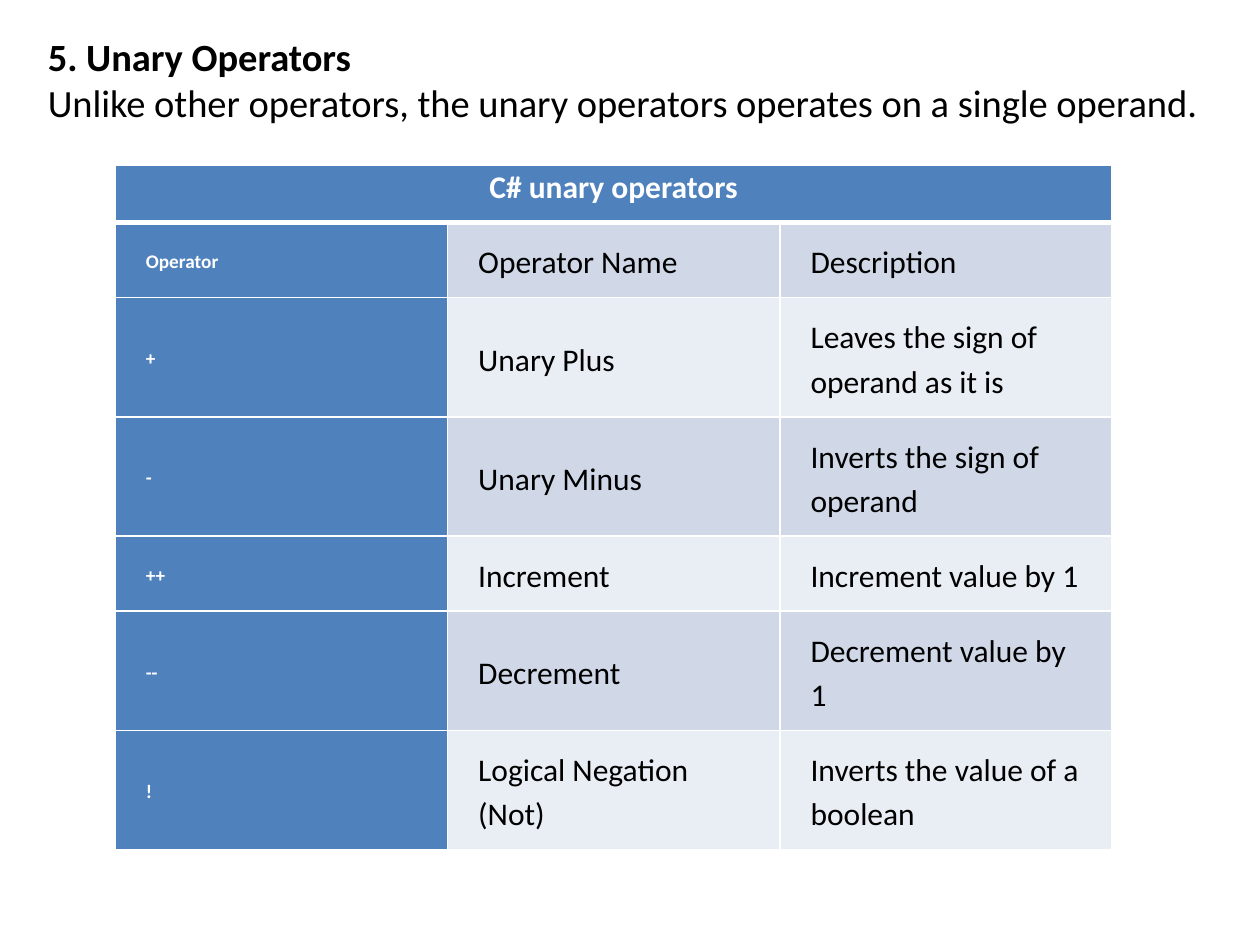
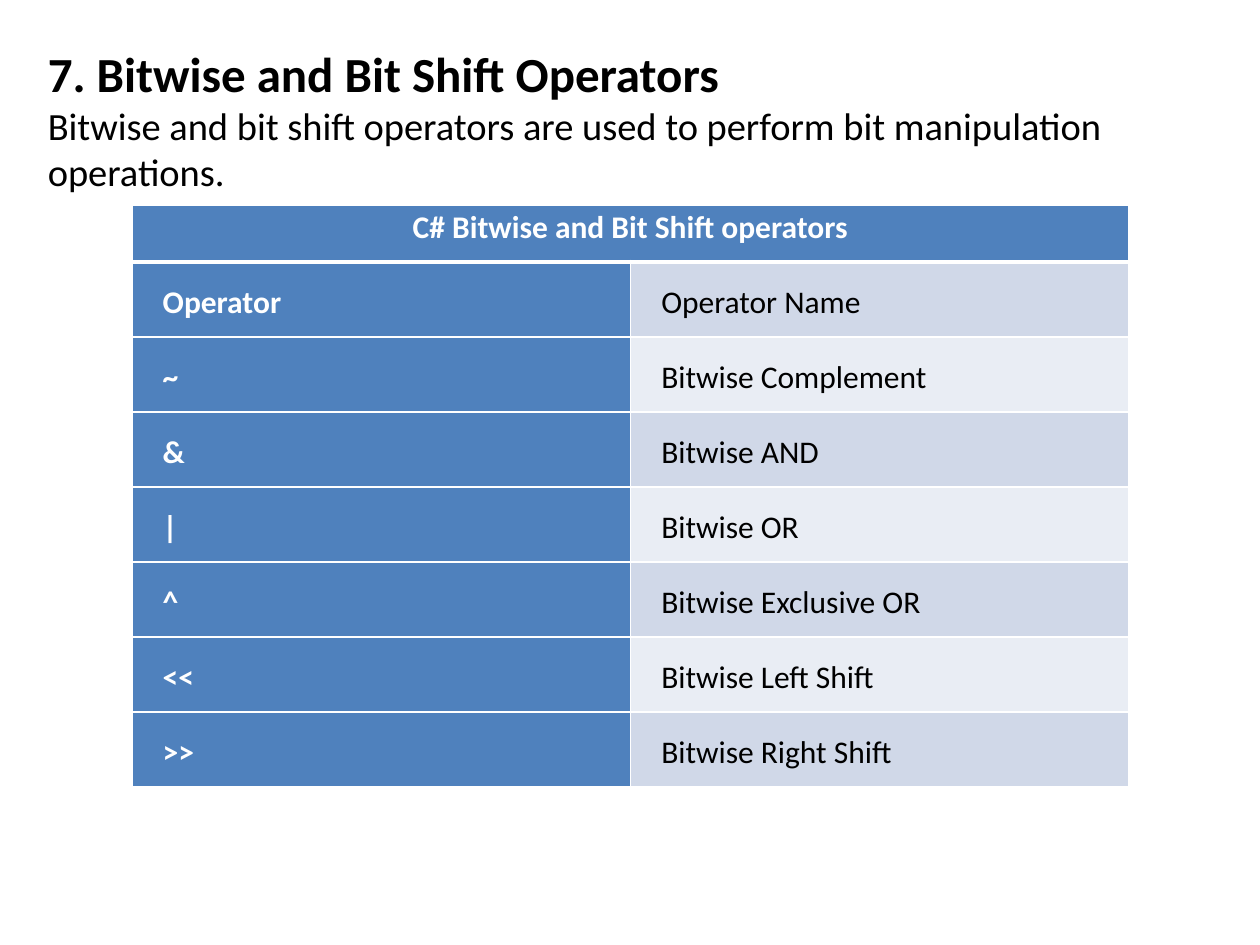
from dataclasses import dataclass

from pptx import Presentation
from pptx import util as u
from pptx.dml.color import RGBColor
from pptx.enum import text
from pptx.oxml import parse_xml
from pptx.oxml.ns import nsdecls
from pptx.slide import Slide
from pptx.table import _Cell
from pptx.text.text import _Paragraph


@dataclass(frozen=True)
class Theme:
    font: str = "Calibri"
    ink: str = "000000"
    white: str = "FFFFFF"
    accent: str = "4F81BD"
    bands: tuple[str, str] = ("D0D8E8", "E9EDF4")
    intro_size: int = 22
    table_size: int = 18
    thin: int = 1
    thick: int = 3


@dataclass(frozen=True)
class Box:
    left: float
    top: float
    width: float
    height: float

    def lengths(self) -> tuple[u.Cm, ...]:
        return tuple(u.Cm(v) for v in (self.left, self.top, self.width, self.height))


@dataclass(frozen=True)
class OperatorSlide:
    heading: str
    heading_size: int
    intro: str
    title_box: Box
    caption: str
    table_left: float
    table_top: float
    symbol_size: int
    rows: tuple[tuple[str, ...], ...]
    two_line_rows: tuple[int, ...] = ()


THEME = Theme()
TABLE_WIDTH = 20.1
CAPTION_HEIGHT, ROW_HEIGHT, TALL_ROW_HEIGHT = 1.14, 1.51, 2.39
CELL_INSET_X, CELL_INSET_Y = 0.62, 0.31

SLIDES = (
    OperatorSlide(
        heading="5. Unary Operators",
        heading_size=22,
        intro="Unlike other operators, the unary operators operates on a single operand.",
        title_box=Box(0.71, 0.53, 24.41, 3.07),
        caption="C# unary operators",
        table_left=2.32,
        table_top=3.34,
        symbol_size=11,
        rows=(
            ("Operator", "Operator Name", "Description"),
            ("+", "Unary Plus", "Leaves the sign of operand as it is"),
            ("-", "Unary Minus", "Inverts the sign of operand"),
            ("++", "Increment", "Increment value by 1"),
            ("--", "Decrement", "Decrement value by 1"),
            ("!", "Logical Negation (Not)", "Inverts the value of a boolean"),
        ),
        two_line_rows=(1, 2, 4, 5),
    ),
    OperatorSlide(
        heading="7. Bitwise and Bit Shift Operators",
        heading_size=28,
        intro="Bitwise and bit shift operators are used to perform bit manipulation operations.",
        title_box=Box(0.71, 0.74, 24, 4.27),
        caption="C# Bitwise and Bit Shift operators",
        table_left=2.66,
        table_top=4.13,
        symbol_size=18,
        rows=(
            ("Operator", "Operator Name"),
            ("~", "Bitwise Complement"),
            ("&", "Bitwise AND"),
            ("|", "Bitwise OR"),
            ("^", "Bitwise Exclusive OR"),
            ("<<", "Bitwise Left Shift"),
            (">>", "Bitwise Right Shift"),
        ),
    ),
)


def style_runs(p: _Paragraph, size: int, color: str, bold: bool) -> None:
    for r in p.runs:
        r.font.name = THEME.font
        r.font.size = u.Pt(size)
        r.font.bold = bold
        r.font.color.rgb = RGBColor.from_string(color)


def set_borders(cell: _Cell, top: int, bottom: int) -> None:
    """Draw white borders, with the top and bottom widths given in points."""
    tc_pr = cell._tc.get_or_add_tcPr()
    widths = {"lnL": THEME.thin, "lnR": THEME.thin, "lnT": top, "lnB": bottom}
    for tag, width in widths.items():
        tc_pr.append(parse_xml(
            f'<a:{tag} {nsdecls("a")} w="{u.Pt(width)}"><a:solidFill>'
            f'<a:srgbClr val="{THEME.white}"/></a:solidFill></a:{tag}>'))


def style_cell(cell: _Cell, fill: str, top: int = THEME.thin, bottom: int = THEME.thin) -> None:
    set_borders(cell, top, bottom)
    cell.fill.solid()
    cell.fill.fore_color.rgb = RGBColor.from_string(fill)
    cell.vertical_anchor = text.MSO_ANCHOR.MIDDLE
    cell.margin_left = cell.margin_right = u.Cm(CELL_INSET_X)
    cell.margin_top = cell.margin_bottom = u.Cm(CELL_INSET_Y)


def write_cell(cell: _Cell, words: str, size: int, color: str, bold: bool) -> _Paragraph:
    cell.text_frame.text = words
    p = cell.text_frame.paragraphs[0]
    p.line_spacing = 1.15
    p.space_after = u.Pt(10)
    style_runs(p, size, color, bold)
    return p


def add_title(s: Slide, content: OperatorSlide) -> None:
    sp = s.shapes.title
    sp.left, sp.top, sp.width, sp.height = content.title_box.lengths()
    tf = sp.text_frame
    tf.word_wrap = True
    tf.auto_size = text.MSO_AUTO_SIZE.NONE
    tf.vertical_anchor = text.MSO_ANCHOR.TOP
    tf.text = f"{content.heading}\n{content.intro}"
    heading, intro = tf.paragraphs
    style_runs(heading, content.heading_size, THEME.ink, True)
    style_runs(intro, THEME.intro_size, THEME.ink, False)
    for p in tf.paragraphs:
        p.alignment = text.PP_ALIGN.LEFT


def add_operator_table(s: Slide, content: OperatorSlide) -> None:
    heights = [CAPTION_HEIGHT] + [
        TALL_ROW_HEIGHT if i in content.two_line_rows else ROW_HEIGHT
        for i in range(len(content.rows))]
    columns = len(content.rows[0])
    box = Box(content.table_left, content.table_top, TABLE_WIDTH, sum(heights))
    table = s.shapes.add_table(len(heights), columns, *box.lengths()).table
    table.first_col = True
    table.horz_banding = False
    for row, height in zip(table.rows, heights):
        row.height = u.Cm(height)

    for column in range(columns):
        style_cell(table.cell(0, column), THEME.accent, bottom=THEME.thick)
    caption = table.cell(0, 0)
    caption.merge(table.cell(0, columns - 1))
    p = write_cell(caption, content.caption, THEME.table_size, THEME.white, True)
    p.alignment = text.PP_ALIGN.CENTER
    p.line_spacing = u.Pt(15)

    for i, row in enumerate(content.rows):
        top = THEME.thick if i == 0 else THEME.thin
        for column, words in enumerate(row):
            cell = table.cell(i + 1, column)
            if column == 0:
                style_cell(cell, THEME.accent, top)
                write_cell(cell, words, content.symbol_size, THEME.white, True)
            else:
                style_cell(cell, THEME.bands[i % 2], top)
                write_cell(cell, words, THEME.table_size, THEME.ink, False)


def main() -> None:
    prs = Presentation()
    prs.slide_width, prs.slide_height = u.Cm(25.4), u.Cm(19.05)
    title_only = prs.slide_layouts.get_by_name("Title Only")
    for content in SLIDES:
        s = prs.slides.add_slide(title_only)
        add_title(s, content)
        add_operator_table(s, content)
    prs.save("out.pptx")


if __name__ == "__main__":
    main()
